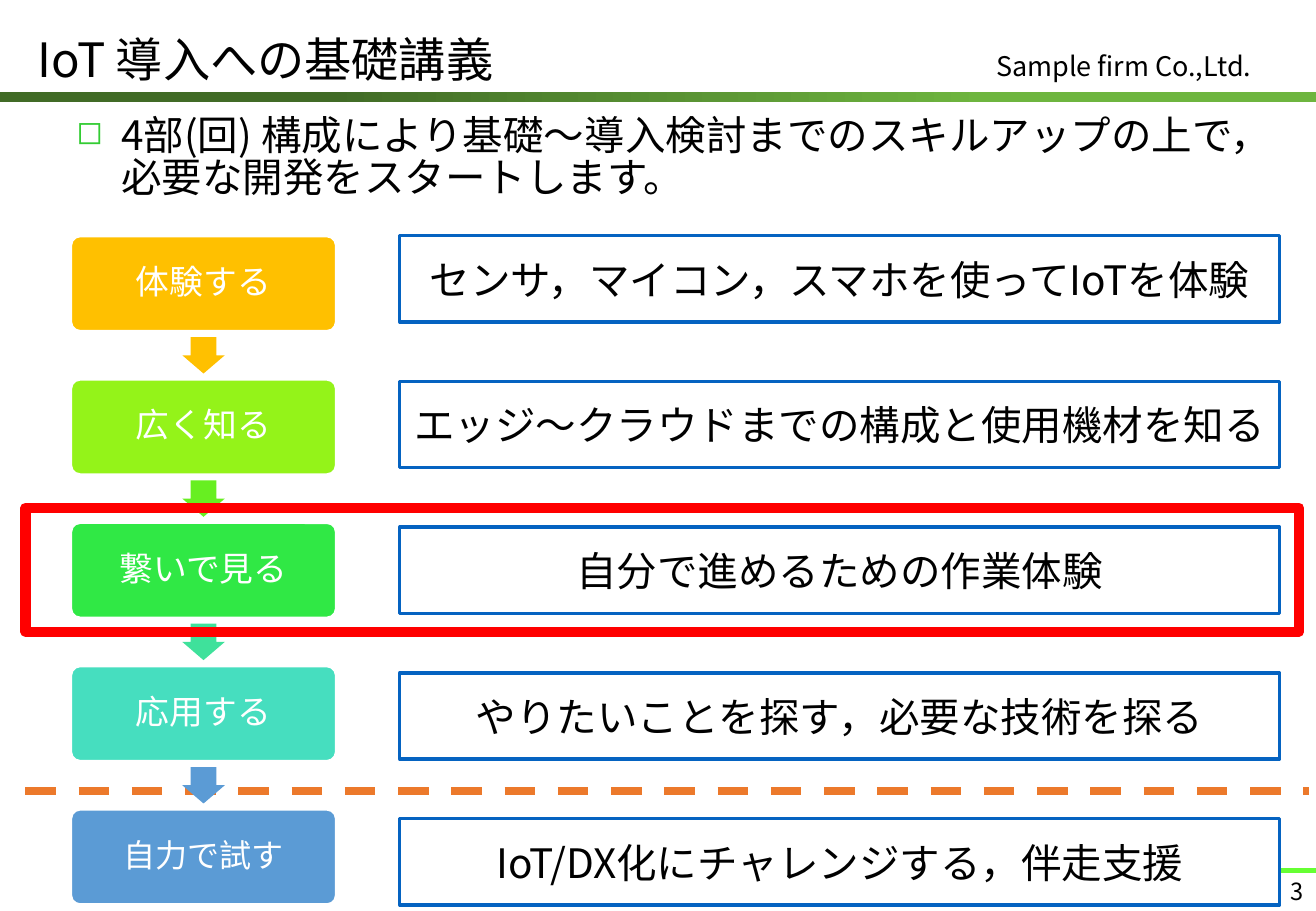
from dataclasses import dataclass

from lxml import etree
from pptx import Presentation
from pptx.dml.color import RGBColor
from pptx.enum.dml import MSO_LINE
from pptx.enum.shapes import MSO_CONNECTOR, MSO_SHAPE
from pptx.enum.text import MSO_ANCHOR, MSO_AUTO_SIZE, PP_ALIGN
from pptx.oxml.ns import qn
from pptx.util import Inches, Pt

LEFT, CENTER, RIGHT = PP_ALIGN.LEFT, PP_ALIGN.CENTER, PP_ALIGN.RIGHT
TOP, MIDDLE = MSO_ANCHOR.TOP, MSO_ANCHOR.MIDDLE
RECTANGLE = MSO_SHAPE.RECTANGLE
ROUNDED = MSO_SHAPE.ROUNDED_RECTANGLE
DOWN_ARROW = MSO_SHAPE.DOWN_ARROW
STRAIGHT = MSO_CONNECTOR.STRAIGHT
DASH = MSO_LINE.DASH
TITLE_ONLY = 5


@dataclass(frozen=True)
class Theme:
    font: str = "Noto Sans CJK JP"
    text: str = "000000"
    white: str = "FFFFFF"
    bar_dark: str = "416B26"
    bar_light: str = "6EB53F"
    footer_line: str = "66FF33"
    bullet: str = "33CC33"
    divider: str = "EC792B"
    outline: str = "0563C1"
    highlight: str = "FF0000"
    title_size: int = 28
    body_size: int = 24
    label_size: int = 20
    company_size: int = 16
    number_size: int = 14


THEME = Theme()

# label, label size, label colour, colour of the arrow below, description
STEPS = [
    ("体験する", THEME.label_size, "FFC000", "FFC000", "センサ，マイコン，スマホを使ってIoTを体験"),
    ("広く知る", THEME.label_size, "94F319", "67EF21", "エッジ～クラウドまでの構成と使用機材を知る"),
    ("繋いで見る", THEME.label_size, "30E845", "3FE19B", "自分で進めるための作業体験"),
    ("応用する", THEME.label_size, "46DEBF", "5B9BD5", "やりたいことを探す，必要な技術を探る"),
    ("自力で試す", 19, "5B9BD5", None, "IoT/DX化にチャレンジする，伴走支援"),
]


def color(value):
    return RGBColor.from_string(value)


def write(shape, text, size=THEME.body_size, font_color=THEME.text, align=LEFT,
          anchor=TOP, margin=0.1, line_spacing=None):
    frame = shape.text_frame
    frame.word_wrap = True
    frame.auto_size = MSO_AUTO_SIZE.NONE
    frame.vertical_anchor = anchor
    frame.margin_left = frame.margin_right = Inches(margin)
    frame.margin_top = frame.margin_bottom = Inches(0.05)
    paragraph = frame.paragraphs[0]
    paragraph.alignment = align
    if line_spacing:
        paragraph.line_spacing = line_spacing
    run = paragraph.add_run()
    run.text = text
    run.font.size = Pt(size)
    run.font.name = THEME.font
    run.font.color.rgb = color(font_color)
    east_asian = etree.SubElement(run.font._element, qn("a:ea"))
    east_asian.set("typeface", THEME.font)
    return paragraph


def add_text(slide, box, text, **text_format):
    shape = slide.shapes.add_textbox(*map(Inches, box))
    return write(shape, text, **text_format)


def add_box(slide, kind, box, fill=None, line=None, line_width=2):
    shape = slide.shapes.add_shape(kind, *map(Inches, box))
    shape.shadow.inherit = False
    if fill:
        shape.fill.solid()
        shape.fill.fore_color.rgb = color(fill)
    else:
        shape.fill.background()
    if line:
        shape.line.color.rgb = color(line)
        shape.line.width = Pt(line_width)
    else:
        shape.line.fill.background()
    return shape


def add_rule(slide, left, right, top, line_color, width, dash=None):
    """Draw a horizontal line."""
    rule = slide.shapes.add_connector(
        STRAIGHT, Inches(left), Inches(top), Inches(right), Inches(top))
    rule.line.color.rgb = color(line_color)
    rule.line.width = Pt(width)
    if dash:
        rule.line.dash_style = dash
    etree.SubElement(rule._element.spPr, qn("a:effectLst"))


def add_bullet(paragraph, character, bullet_color, indent):
    properties = paragraph._p.get_or_add_pPr()
    properties.set("marL", str(Inches(indent)))
    properties.set("indent", str(-Inches(indent)))
    holder = etree.SubElement(properties, qn("a:buClr"))
    etree.SubElement(holder, qn("a:srgbClr")).set("val", bullet_color)
    etree.SubElement(properties, qn("a:buSzPct")).set("val", "80000")
    etree.SubElement(properties, qn("a:buChar")).set("char", character)


def add_header(slide, box):
    left, top, width, height = box
    bar_height = 0.08
    bar = add_box(slide, RECTANGLE, (left, top + height, width, bar_height),
                  fill=THEME.bar_dark)
    bar.fill.gradient()
    bar.fill.gradient_angle = 0
    stops = zip(bar.fill.gradient_stops, (0.25, 0.75),
                (THEME.bar_dark, THEME.bar_light))
    for stop, position, stop_color in stops:
        stop.position = position
        stop.color.rgb = color(stop_color)

    title = slide.shapes.title
    title.left, title.top = Inches(left + 0.21), Inches(top + 0.21)
    title.width, title.height = Inches(7.51), Inches(height - 0.21)
    write(title, "IoT 導入への基礎講義", size=THEME.title_size, anchor=MIDDLE)
    add_text(slide, (left + 8.1, top + 0.36, 2.73, 0.37), "Sample firm Co.,Ltd.",
             size=THEME.company_size)


def add_footer(slide, box):
    left, top, width, height = box
    add_rule(slide, left, left + width, top, THEME.footer_line, 3)
    add_text(slide, (left, top, width, height), "3",
             size=THEME.number_size, align=RIGHT)


def add_introduction(slide, box):
    paragraph = add_text(
        slide, box,
        "4部(回) 構成により基礎～導入検討までのスキルアップの上で，必要な開発をスタートします。",
        line_spacing=0.85)
    add_bullet(paragraph, "◻", THEME.bullet, 0.37)


def add_step_labels(slide, box):
    left, top, width, height = box
    label_height, arrow_width, arrow_height = 0.79, 0.35, 0.3
    pitch = (height - label_height) / (len(STEPS) - 1)
    gap = pitch - label_height
    for index, (label, size, fill, arrow_fill, _) in enumerate(STEPS):
        label_top = top + index * pitch
        shape = add_box(slide, ROUNDED, (left, label_top, width, label_height),
                        fill=fill, line=THEME.white)
        shape.adjustments[0] = 0.1
        write(shape, label, size=size, font_color=THEME.white, align=CENTER,
              anchor=MIDDLE, line_spacing=0.9)
        if arrow_fill:
            arrow_top = label_top + label_height + (gap - arrow_height) / 2
            arrow = add_box(
                slide, DOWN_ARROW,
                (left + (width - arrow_width) / 2, arrow_top, arrow_width, arrow_height),
                fill=arrow_fill)
            arrow.adjustments[0] = 0.6
            arrow.adjustments[1] = 0.5


def add_step_descriptions(slide, box):
    left, top, width, height = box
    row_height = 0.71
    pitch = (height - row_height) / (len(STEPS) - 1)
    for index, step in enumerate(STEPS):
        shape = add_box(slide, RECTANGLE,
                        (left, top + index * pitch, width, row_height),
                        fill=THEME.white, line=THEME.outline)
        write(shape, step[-1], align=CENTER, anchor=MIDDLE, margin=0.05)


def main():
    presentation = Presentation()
    presentation.slide_width = Inches(10.83)
    presentation.slide_height = Inches(7.5)
    slide = presentation.slides.add_slide(presentation.slide_layouts[TITLE_ONLY])
    add_header(slide, (0, 0, 10.83, 0.76))
    add_footer(slide, (9.98, 7.17, 0.85, 0.28))
    add_rule(slide, 0.21, 10.77, 6.51, THEME.divider, 4.5, dash=DASH)
    add_introduction(slide, (0.53, 0.92, 10, 0.87))
    add_step_labels(slide, (0.58, 1.94, 2.19, 5.51))
    add_step_descriptions(slide, (3.29, 1.94, 7.24, 5.51))
    add_box(slide, RECTANGLE, (0.21, 4.18, 10.48, 1.02),
            line=THEME.highlight, line_width=6)
    presentation.save("out.pptx")


if __name__ == "__main__":
    main()
